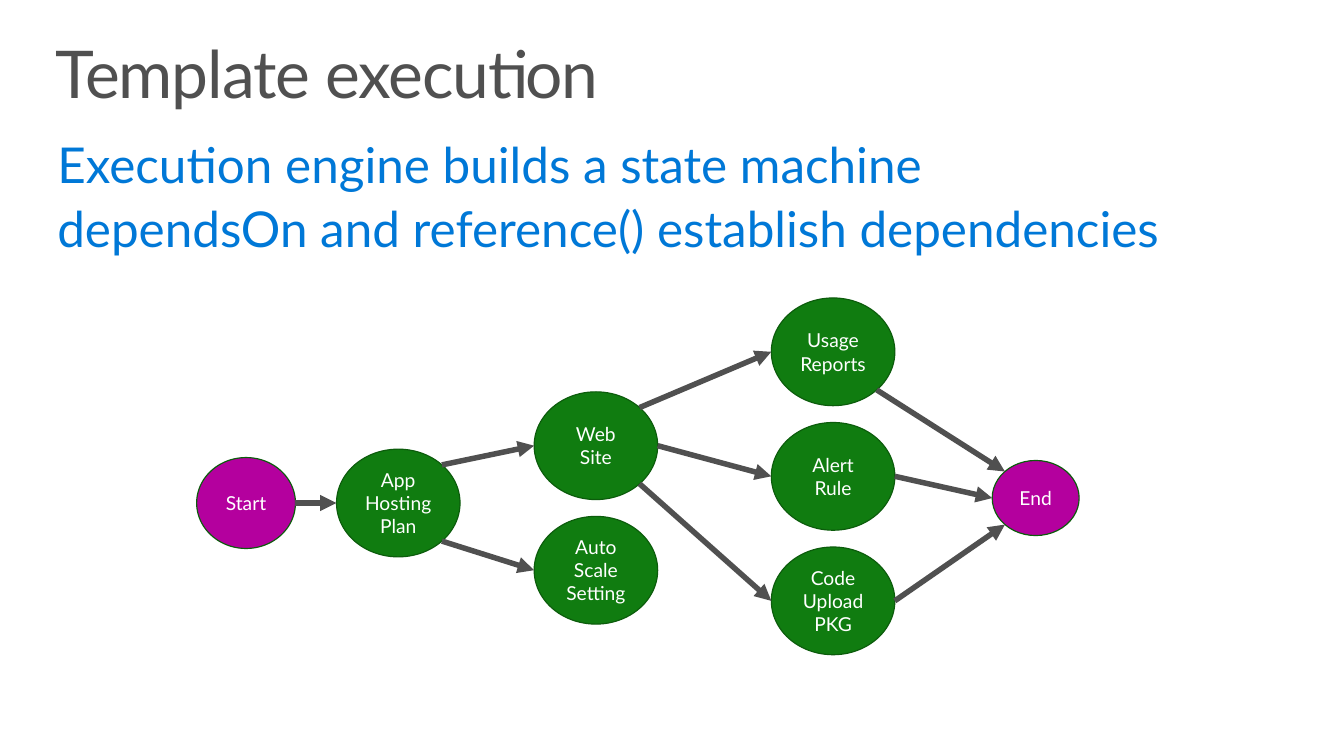
from dataclasses import dataclass
from enum import Enum
from math import sqrt

from lxml.etree import SubElement
from pptx import Presentation
from pptx.dml.color import RGBColor
from pptx.enum.shapes import MSO_CONNECTOR, MSO_SHAPE
from pptx.enum.text import MSO_ANCHOR, PP_ALIGN
from pptx.oxml.ns import qn
from pptx.slide import Slide
from pptx.text.text import TextFrame, _Paragraph
from pptx.util import Inches, Pt

COLORS = {
    "gray": "505050",
    "blue": "0078D7",
    "green": "107C10",
    "dark green": "0C5C0C",
    "purple": "B4009E",
    "white": "FFFFFF",
}
FONT = "Lato"
DIAGONAL = 1 / sqrt(2)


class Site(Enum):
    """Points on an ellipse, as fractions of its two radii."""
    LEFT = (-1, 0)
    RIGHT = (1, 0)
    UPPER_LEFT = (-DIAGONAL, -DIAGONAL)
    LOWER_LEFT = (-DIAGONAL, DIAGONAL)
    UPPER_RIGHT = (DIAGONAL, -DIAGONAL)
    LOWER_RIGHT = (DIAGONAL, DIAGONAL)


@dataclass(frozen=True)
class Step:
    label: str
    x: float
    y: float
    width: float = 1.25
    height: float = 1.09
    color: str = "green"

    def point(self, site: Site) -> tuple[float, float]:
        across, down = site.value
        return self.x + across * self.width / 2, self.y + down * self.height / 2


@dataclass(frozen=True)
class Dependency:
    source: Step
    leave: Site
    target: Step
    enter: Site = Site.LEFT


ROW_GAP = 1.26
SITE_Y, ALERT_Y = 4.51, 4.82
BRANCH_X, LEAF_X = 6.03, 8.43

START = Step("Start", 2.49, 5.09, 1, 0.92, "purple")
PLAN = Step("App Hosting Plan", 4.03, 5.09)
WEB_SITE = Step("Web\nSite", BRANCH_X, SITE_Y)
AUTO_SCALE = Step("Auto Scale Setting", BRANCH_X, SITE_Y + ROW_GAP)
REPORTS = Step("Usage Reports", LEAF_X, ALERT_Y - ROW_GAP)
ALERT = Step("Alert Rule", LEAF_X, ALERT_Y)
UPLOAD = Step("Code Upload PKG", LEAF_X, ALERT_Y + ROW_GAP)
END = Step("End", 10.48, 5.04, 0.88, 0.76, "purple")

STEPS = [START, PLAN, END, AUTO_SCALE, WEB_SITE, ALERT, REPORTS, UPLOAD]
DEPENDENCIES = [
    Dependency(START, Site.RIGHT, PLAN),
    Dependency(PLAN, Site.LOWER_RIGHT, AUTO_SCALE),
    Dependency(PLAN, Site.UPPER_RIGHT, WEB_SITE),
    Dependency(WEB_SITE, Site.UPPER_RIGHT, REPORTS),
    Dependency(WEB_SITE, Site.RIGHT, ALERT),
    Dependency(WEB_SITE, Site.LOWER_RIGHT, UPLOAD),
    Dependency(ALERT, Site.RIGHT, END),
    Dependency(REPORTS, Site.LOWER_RIGHT, END, Site.UPPER_LEFT),
    Dependency(UPLOAD, Site.RIGHT, END, Site.LOWER_LEFT),
]


def rgb(name: str) -> RGBColor:
    return RGBColor.from_string(COLORS[name])


def set_font(para: _Paragraph, size: float, color: str) -> None:
    para.font.name = FONT
    para.font.size = Pt(size)
    para.font.color.rgb = rgb(color)


def add_text(page: Slide, text: str, left: float, top: float, width: float,
             height: float, margin: float, size: float, color: str) -> TextFrame:
    box = page.shapes.add_textbox(Inches(left), Inches(top), Inches(width), Inches(height))
    frame = box.text_frame
    frame.word_wrap = True
    frame.margin_left = frame.margin_right = Inches(margin)
    frame.margin_top = frame.margin_bottom = Inches(0.1)
    frame.text = text
    for index, para in enumerate(frame.paragraphs):
        para.line_spacing = 0.9
        if index:
            para.space_before = Pt(0.2 * size)
        set_font(para, size, color)
    return frame


def add_step(page: Slide, step: Step) -> None:
    ellipse = page.shapes.add_shape(
        MSO_SHAPE.OVAL, Inches(step.x - step.width / 2), Inches(step.y - step.height / 2),
        Inches(step.width), Inches(step.height))
    ellipse.shadow.inherit = False
    ellipse.fill.solid()
    ellipse.fill.fore_color.rgb = rgb(step.color)
    ellipse.line.color.rgb = rgb("dark green")
    ellipse.line.width = Pt(0.85)
    frame = ellipse.text_frame
    frame.word_wrap = True
    frame.vertical_anchor = MSO_ANCHOR.MIDDLE
    frame.text = step.label
    for para in frame.paragraphs:
        para.alignment = PP_ALIGN.CENTER
        set_font(para, 14, "white")


def add_arrow(page: Slide, dependency: Dependency) -> None:
    begin = dependency.source.point(dependency.leave)
    end = dependency.target.point(dependency.enter)
    arrow = page.shapes.add_connector(
        MSO_CONNECTOR.STRAIGHT, *(Inches(value) for value in begin + end))
    arrow.line.color.rgb = rgb("gray")
    arrow.line.width = Pt(4)
    SubElement(arrow.line._get_or_add_ln(), qn("a:tailEnd"), type="triangle")
    SubElement(arrow._element.spPr, qn("a:effectLst"))


def main() -> None:
    deck = Presentation()
    deck.slide_width = Inches(13.6)
    deck.slide_height = Inches(7.65)
    page = deck.slides.add_slide(deck.slide_layouts[6])

    title = add_text(page, "Template execution", 0.4, 0.32, 12.8, 1, 0.16, 48, "gray")
    for span in title.paragraphs[0].runs:
        span._r.get_or_add_rPr().set("spc", "-80")
    for step in STEPS:
        add_step(page, step)
    for dependency in DEPENDENCIES:
        add_arrow(page, dependency)
    add_text(page, "Execution engine builds a state machine\n"
             "dependsOn and reference() establish dependencies",
             0.4, 1.33, 12.65, 1.41, 0.18, 36, "blue")
    deck.save("out.pptx")


if __name__ == "__main__":
    main()
